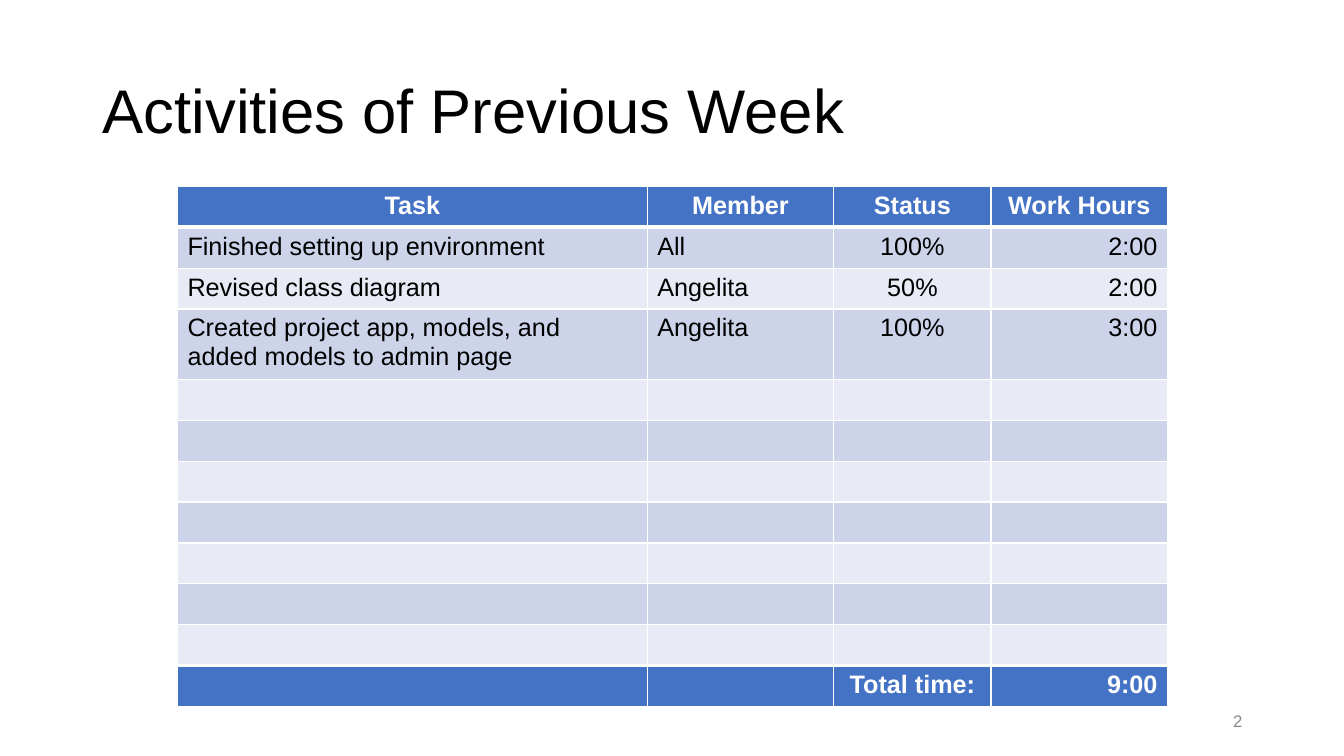
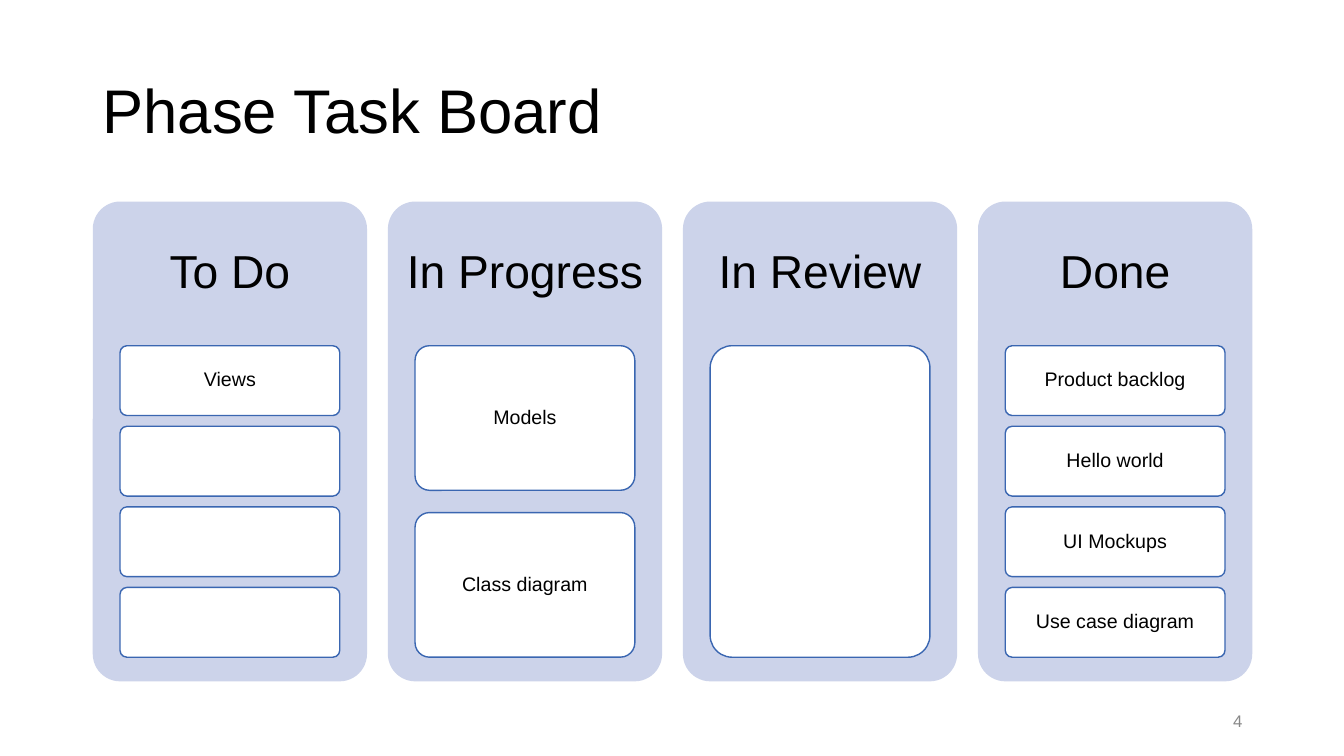
from dataclasses import dataclass

from lxml.etree import SubElement
from pptx import Presentation
from pptx.dml.color import RGBColor as RGB
from pptx.enum.shapes import MSO_SHAPE as SHAPE
from pptx.enum.text import MSO_ANCHOR as ANCHOR, PP_ALIGN as ALIGN
from pptx.oxml.ns import qn
from pptx.util import Inches, Pt


@dataclass(frozen=True)
class Theme:
    """Colours, font and type sizes of the deck."""
    font: str = "Arial"
    black: str = "000000"
    white: str = "FFFFFF"
    grey: str = "888888"
    accent: str = "4472C4"
    outline: str = "3A66B1"
    panel: str = "CCD3EA"
    bands: tuple = ("CDD4EA", "E8EBF5")
    title: int = 44
    heading: int = 33
    body: int = 18
    card: int = 14
    number: int = 12


T = Theme()
LEFT, WIDTH = 0.92, 11.5

HEADER = ("Task", "Member", "Status", "Work Hours")
TASKS = [
    ("Finished setting up environment", "All", "100%", "2:00"),
    ("Revised class diagram", "Angelita", "50%", "2:00"),
    ("Created project app, models, and added models to admin page", "Angelita", "100%", "3:00"),
]
TOTAL = ("", "", "Total time:", "9:00")
BODY_ROWS = 10
TALL_ROW = 3

BOARD = {
    "To Do": ("Views", "", "", ""),
    "In Progress": ("Models", "Class diagram"),
    "In Review": ("",),
    "Done": ("Product backlog", "Hello world", "UI Mockups", "Use case diagram"),
}


def write(tf, text, size, color=T.black, align=ALIGN.LEFT, bold=False, spacing=None):
    """Set one formatted paragraph in a text frame."""
    tf.text = text
    p = tf.paragraphs[0]
    p.alignment = align
    if spacing:
        p.line_spacing = spacing
    for r in p.runs:
        r.font.name = T.font
        r.font.size = Pt(size)
        r.font.bold = bold
        r.font.color.rgb = RGB.from_string(color)


def add_text(s, box, text, size, **style):
    """Add a wrapped, vertically centred text box."""
    tf = s.shapes.add_textbox(*map(Inches, box)).text_frame
    tf.word_wrap = True
    tf.vertical_anchor = ANCHOR.MIDDLE
    write(tf, text, size, **style)


def add_panel(s, box, fill, line=None):
    """Add a rounded rectangle, outlined if a line colour is given."""
    sp = s.shapes.add_shape(SHAPE.ROUNDED_RECTANGLE, *map(Inches, box))
    sp.shadow.inherit = False
    sp.adjustments[0] = 0.1
    sp.fill.solid()
    sp.fill.fore_color.rgb = RGB.from_string(fill)
    if line:
        sp.line.color.rgb = RGB.from_string(line)
        sp.line.width = Pt(1)
    else:
        sp.line.fill.background()
    return sp


def add_slide(prs, title, number):
    """Add a blank slide with its title and number."""
    s = prs.slides.add_slide(prs.slide_layouts[6])
    add_text(s, (LEFT, 0.4, WIDTH, 1.45), title, T.title, spacing=0.9)
    add_text(s, (9.42, 6.95, 3, 0.4), str(number), T.number, color=T.grey, align=ALIGN.RIGHT)
    return s


def set_borders(cell, top, bottom):
    """Draw white cell borders with the given top and bottom widths."""
    tc_pr = cell._tc.get_or_add_tcPr()
    for side, width in (("L", 1), ("R", 1), ("T", top), ("B", bottom)):
        ln = SubElement(tc_pr, qn(f"a:ln{side}"), w=str(Pt(width)))
        SubElement(SubElement(ln, qn("a:solidFill")), qn("a:srgbClr"), val=T.white)


def add_task_table(s):
    """Add the table of tasks with its header and total rows."""
    rows = [HEADER, *TASKS, *[("",) * 4] * (BODY_ROWS - len(TASKS)), TOTAL]
    last = len(rows) - 1
    widths = (4.66, 1.85, 1.56, 1.75)
    aligns = (ALIGN.LEFT, ALIGN.LEFT, ALIGN.CENTER, ALIGN.RIGHT)
    height, tall = 5.12, 0.66
    box = (1.76, 1.85, sum(widths), height)
    table = s.shapes.add_table(len(rows), len(widths), *map(Inches, box)).table
    for col, width in zip(table.columns, widths):
        col.width = Inches(width)
    for i, row in enumerate(rows):
        table.rows[i].height = Inches(tall if i == TALL_ROW else (height - tall) / last)
        strong = i in (0, last)
        fill = T.accent if strong else T.bands[(i - 1) % 2]
        for j, text in enumerate(row):
            cell = table.cell(i, j)
            write(cell.text_frame, text, T.body, T.white if strong else T.black,
                  aligns[j] if i else ALIGN.CENTER, strong)
            set_borders(cell, 3 if i in (1, last) else 1, 3 if i in (0, last - 1) else 1)
            cell.fill.solid()
            cell.fill.fore_color.rgb = RGB.from_string(fill)


def add_card(s, box, text):
    """Add a white task card."""
    tf = add_panel(s, box, T.white, T.outline).text_frame
    tf.word_wrap = True
    tf.vertical_anchor = ANCHOR.MIDDLE
    tf.margin_left = tf.margin_right = Inches(0.04)
    tf.margin_top = tf.margin_bottom = Inches(0.03)
    write(tf, text, T.card, align=ALIGN.CENTER, spacing=0.9)


def add_board(s):
    """Add the columns of the board and share each one among its cards."""
    top, width, height, head = 2, 2.72, 4.76, 1.43
    card_width, stack, gap_ratio = 2.18, 3.09, 2 / 13
    pitch = (WIDTH - width) / (len(BOARD) - 1)
    for i, (heading, cards) in enumerate(BOARD.items()):
        x = LEFT + i * pitch
        add_panel(s, (x, top, width, height), T.panel)
        add_text(s, (x, top, width, head), heading, T.heading, align=ALIGN.CENTER, spacing=0.9)
        card_x = x + (width - card_width) / 2
        card_height = stack / (len(cards) + (len(cards) - 1) * gap_ratio)
        for j, text in enumerate(cards):
            y = top + head + j * card_height * (1 + gap_ratio)
            add_card(s, (card_x, y, card_width, card_height), text)


def main():
    """Build and save the deck."""
    prs = Presentation()
    prs.slide_width, prs.slide_height = Inches(13.33), Inches(7.5)
    add_task_table(add_slide(prs, "Activities of Previous Week", 2))
    add_board(add_slide(prs, "Phase Task Board", 4))
    prs.save("out.pptx")


if __name__ == "__main__":
    main()
